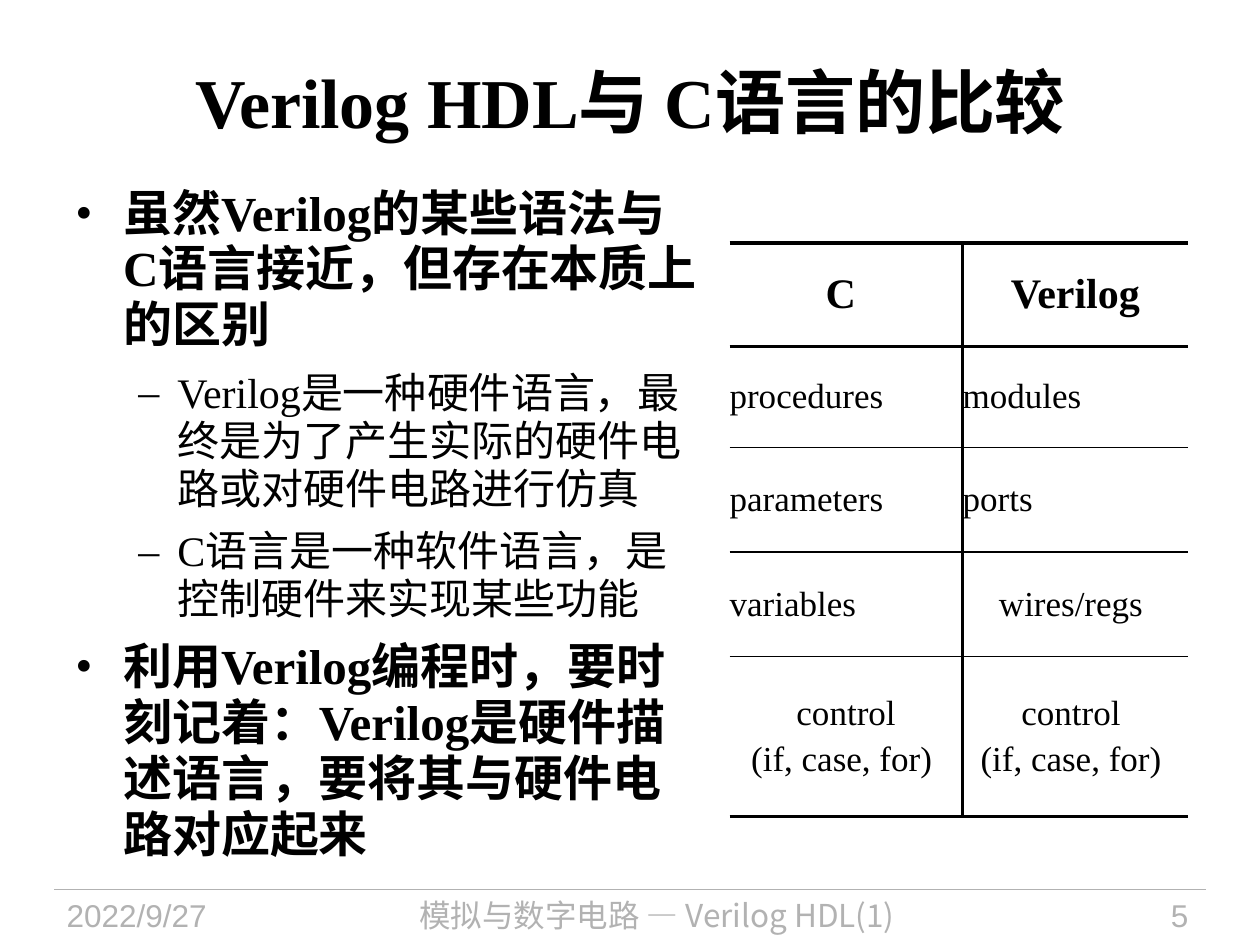
from dataclasses import dataclass

from lxml import etree
from pptx import Presentation
from pptx.dml.color import RGBColor
from pptx.enum.shapes import MSO_CONNECTOR
from pptx.enum.text import MSO_ANCHOR, PP_ALIGN
from pptx.oxml.ns import qn
from pptx.util import Inches, Pt

LEFT, CENTER, RIGHT = PP_ALIGN.LEFT, PP_ALIGN.CENTER, PP_ALIGN.RIGHT
TOP, MIDDLE = MSO_ANCHOR.TOP, MSO_ANCHOR.MIDDLE
STRAIGHT = MSO_CONNECTOR.STRAIGHT

COLORS = {"text": "000000", "footer": "B2B2B2"}
SERIF, SANS, CHINESE = "Times New Roman", "Arial", "Noto Sans CJK SC"


@dataclass(frozen=True)
class Style:
    size: float
    font: str = SERIF
    bold: bool = False
    color: str = "text"


@dataclass(frozen=True)
class Level:
    style: Style
    bullet: str
    margin: float
    hanging: float


@dataclass(frozen=True)
class Label:
    text: str
    left: float
    top: float
    width: float
    height: float
    style: Style
    align: PP_ALIGN = LEFT
    anchor: MSO_ANCHOR = TOP


@dataclass(frozen=True)
class Cell:
    text: str
    align: PP_ALIGN = LEFT


LEVELS = [
    Level(Style(28, bold=True), "•", 0.38, 0.38),
    Level(Style(24), "–", 0.81, 0.31),
]
POINTS = [
    (0, "虽然Verilog的某些语法与C语言接近，但存在本质上的区别"),
    (1, "Verilog是一种硬件语言，最终是为了产生实际的硬件电路或对硬件电路进行仿真"),
    (1, "C语言是一种软件语言，是控制硬件来实现某些功能"),
    (0, "利用Verilog编程时，要时刻记着：Verilog是硬件描述语言，要将其与硬件电路对应起来"),
]

LABELS = [
    Label("Verilog HDL与 C语言的比较", 0.5, 0.17, 9, 1.25, Style(40, bold=True), CENTER, MIDDLE),
    Label("2022/9/27", 0.43, 7.06, 1.88, 0.44, Style(18, SANS, color="footer")),
    Label("模拟与数字电路 — Verilog HDL(1)", 2.4, 7.06, 5.63, 0.44,
          Style(18, CHINESE, color="footer"), CENTER),
    Label("5", 8.2, 7.06, 1.33, 0.44, Style(18, SANS, color="footer"), RIGHT),
]

HEADER_STYLE, CELL_STYLE = Style(24, bold=True), Style(20)
COLUMN_WIDTHS = [1.85, 1.79]
ROW_HEIGHTS = [0.82, 0.8, 0.83, 0.83, 1.27]
THICK, THIN = 2.25, 1
ROW_RULES = [THICK, THICK, THIN, THIN, THIN, THICK]
COLUMN_RULES = [0, THICK, 0]
ROWS = [
    [Cell("C ", CENTER), Cell("Verilog", CENTER)],
    [Cell("procedures"), Cell("modules")],
    [Cell("parameters"), Cell("ports")],
    [Cell("variables"), Cell("wires/regs ", CENTER)],
    [Cell("control\n(if, case, for) ", CENTER), Cell("control \n(if, case, for) ", CENTER)],
]


def format_paragraph(paragraph, style: Style, align: PP_ALIGN) -> None:
    paragraph.alignment = align
    for run in paragraph.runs:
        run.font.size = Pt(style.size)
        run.font.bold = style.bold
        run.font.color.rgb = RGBColor.from_string(COLORS[style.color])
        run.font.name = style.font
        east_asian = etree.Element(qn("a:ea"), typeface=CHINESE)
        run.font._element.find(qn("a:latin")).addnext(east_asian)


def add_text_frame(slide, left: float, top: float, width: float, height: float):
    box = slide.shapes.add_textbox(Inches(left), Inches(top), Inches(width), Inches(height))
    box.text_frame.word_wrap = True
    return box.text_frame


def add_label(slide, label: Label) -> None:
    text_frame = add_text_frame(slide, label.left, label.top, label.width, label.height)
    text_frame.vertical_anchor = label.anchor
    text_frame.text = label.text
    format_paragraph(text_frame.paragraphs[0], label.style, label.align)


def add_points(slide) -> None:
    text_frame = add_text_frame(slide, 0.5, 1.43, 5.13, 5.55)
    text_frame.text = "\n".join(text for _, text in POINTS)
    for paragraph, (depth, _) in zip(text_frame.paragraphs, POINTS):
        level = LEVELS[depth]
        paragraph.level = depth
        paragraph.line_spacing = 0.95
        paragraph.space_before = Pt(0.15 * level.style.size)
        paragraph.space_after = Pt(0.2 * level.style.size)
        format_paragraph(paragraph, level.style, LEFT)
        properties = paragraph._p.get_or_add_pPr()
        properties.set("marL", str(Inches(level.margin)))
        properties.set("indent", str(-Inches(level.hanging)))
        etree.SubElement(properties, qn("a:buFont"), typeface=SERIF)
        etree.SubElement(properties, qn("a:buChar"), char=level.bullet)


def set_border(cell, side: str, width: float) -> None:
    """Draw one side (L, R, T or B) of a cell; width 0 hides it."""
    line = etree.SubElement(cell._tc.get_or_add_tcPr(), qn(f"a:ln{side}"), w=str(Pt(width)))
    if width:
        fill = etree.SubElement(line, qn("a:solidFill"))
        etree.SubElement(fill, qn("a:srgbClr"), val=COLORS["text"])
    else:
        etree.SubElement(line, qn("a:noFill"))


def add_comparison_table(slide) -> None:
    frame = slide.shapes.add_table(
        len(ROWS), len(COLUMN_WIDTHS), Inches(5.79), Inches(1.93),
        Inches(sum(COLUMN_WIDTHS)), Inches(sum(ROW_HEIGHTS)))
    table = frame.table
    table.first_row = table.horz_banding = False
    for column, width in zip(table.columns, COLUMN_WIDTHS):
        column.width = Inches(width)
    for row, height in zip(table.rows, ROW_HEIGHTS):
        row.height = Inches(height)
    for row_index, row in enumerate(ROWS):
        style = CELL_STYLE if row_index else HEADER_STYLE
        for column_index, content in enumerate(row):
            cell = table.cell(row_index, column_index)
            cell.text_frame.text = content.text
            cell.vertical_anchor = MIDDLE
            cell.margin_left = cell.margin_right = cell.margin_top = cell.margin_bottom = 0
            for paragraph in cell.text_frame.paragraphs:
                format_paragraph(paragraph, style, content.align)
                paragraph.space_after = Pt(0.2 * style.size)
            set_border(cell, "L", COLUMN_RULES[column_index])
            set_border(cell, "R", COLUMN_RULES[column_index + 1])
            set_border(cell, "T", ROW_RULES[row_index])
            set_border(cell, "B", ROW_RULES[row_index + 1])
            cell.fill.background()


def add_footer_rule(slide) -> None:
    rule = slide.shapes.add_connector(
        STRAIGHT, Inches(0.43), Inches(7.06), Inches(9.57), Inches(7.06))
    rule.line.color.rgb = RGBColor.from_string(COLORS["footer"])
    rule.line.width = Pt(0.75)
    etree.SubElement(rule._element.spPr, qn("a:effectLst"))


def main() -> None:
    presentation = Presentation()
    presentation.slide_width, presentation.slide_height = Inches(10), Inches(7.5)
    slide = presentation.slides.add_slide(presentation.slide_layouts[6])
    add_footer_rule(slide)
    for label in LABELS:
        add_label(slide, label)
    add_points(slide)
    add_comparison_table(slide)
    presentation.save("out.pptx")


if __name__ == "__main__":
    main()
